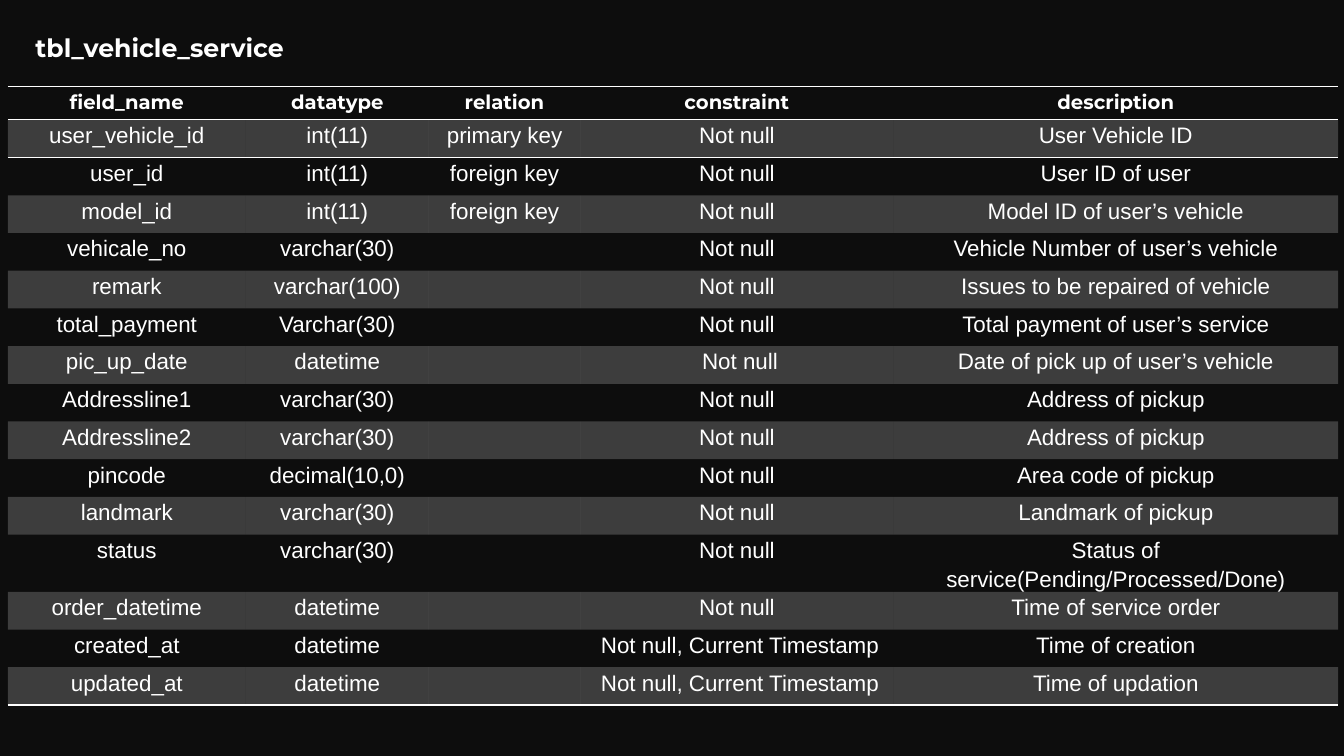
from dataclasses import dataclass

from lxml import etree
from pptx import Presentation
from pptx import util as u
from pptx.dml.color import RGBColor
from pptx.enum import text
from pptx.oxml import ns

HEAD = ["field_name", "datatype", "relation", "constraint", "description"]
FIELDS = [
    ["user_vehicle_id", "int(11)", "primary key", "Not null", "User Vehicle ID"],
    ["user_id", "int(11)", "foreign key", "Not null", "User ID of user"],
    ["model_id", "int(11)", "foreign key", "Not null", "Model ID of user’s vehicle"],
    ["vehicale_no", "varchar(30)", "", "Not null", "Vehicle Number of user’s vehicle"],
    ["remark", "varchar(100)", "", "Not null", "Issues to be repaired of vehicle"],
    ["total_payment", "Varchar(30)", "", "Not null", "Total payment of user’s service"],
    ["pic_up_date", "datetime", "", " Not null", "Date of pick up of user’s vehicle"],
    ["Addressline1", "varchar(30)", "", "Not null", "Address of pickup"],
    ["Addressline2", "varchar(30)", "", "Not null", "Address of pickup"],
    ["pincode", "decimal(10,0)", "", "Not null", "Area code of pickup"],
    ["landmark", "varchar(30)", "", "Not null", "Landmark of pickup"],
    ["status", "varchar(30)", "", "Not null", "Status of service(Pending/Processed/Done)"],
    ["order_datetime", "datetime", "", "Not null", "Time of service order"],
    ["created_at", "datetime", "", " Not null, Current Timestamp", "Time of creation"],
    ["updated_at", "datetime", "", " Not null, Current Timestamp", "Time of updation"],
]
WIDTHS = [5.99, 4.62, 3.81, 7.9, 11.2]


@dataclass
class Theme:
    back: str = "0D0D0D"
    ink: str = "FFFFFF"
    band: int = 20
    plain: str = "{2D5ABB26-0587-4C30-8999-92F81FD0307C}"
    title: tuple = ("Montserrat", 18, True)
    head: tuple = ("Montserrat", 14, True)
    body: tuple = ("Arial", 16, False)


def apply(item, values):
    for key, value in values.items():
        setattr(item, key, value)


class Deck:
    def __init__(self, theme):
        self.theme = theme
        self.file = Presentation()
        apply(self.file, {"slide_width": u.Cm(33.87), "slide_height": u.Cm(19.05)})
        self.slide = self.file.slides.add_slide(self.file.slide_layouts[5])
        fill = self.slide.background.fill
        fill.solid()
        fill.fore_color.rgb = RGBColor.from_string(theme.back)

    def style(self, font, face):
        name, size, bold = face
        apply(font, {"name": name, "size": u.Pt(size), "bold": bold})
        font.color.rgb = RGBColor.from_string(self.theme.ink)

    def title(self, words, left, top, width, height):
        box = self.slide.shapes.title
        apply(box, {"left": u.Cm(left), "top": u.Cm(top),
                    "width": u.Cm(width), "height": u.Cm(height)})
        apply(box.text_frame, {"text": words, "word_wrap": False,
                               "auto_size": text.MSO_AUTO_SIZE.NONE,
                               "vertical_anchor": text.MSO_ANCHOR.MIDDLE})
        line = box.text_frame.paragraphs[0]
        line.alignment = text.PP_ALIGN.LEFT
        self.style(line.runs[0].font, self.theme.title)

    def table(self, rows, widths, left, top, first, rest):
        high = first + rest * (len(rows) - 1)
        grid = self.slide.shapes.add_table(
            len(rows), len(widths), u.Cm(left), u.Cm(top),
            u.Cm(sum(widths)), u.Cm(high)).table
        grid.horz_banding = False
        grid._tbl.tblPr.find(ns.qn("a:tableStyleId")).text = self.theme.plain
        for col, width in zip(grid.columns, widths):
            col.width = u.Cm(width)
        for i, row in enumerate(rows):
            grid.rows[i].height = u.Cm(rest if i else first)
            # Rules frame the header and close the table
            sides = {0: ["lnT", "lnB"], 1: ["lnT"], len(rows) - 1: ["lnB"]}.get(i, [])
            for j, words in enumerate(row):
                self.cell(grid.cell(i, j), words, self.theme.body if i else self.theme.head,
                          i % 2 == 1, sides)

    def cell(self, cell, words, face, band, sides):
        apply(cell, {"text": words, "margin_left": u.Cm(0.18), "margin_right": u.Cm(0.18),
                     "margin_top": 0, "margin_bottom": 0})
        line = cell.text_frame.paragraphs[0]
        apply(line, {"alignment": text.PP_ALIGN.CENTER, "line_spacing": 1.15,
                     "space_after": u.Pt(10)})
        self.style(line.runs[0].font if line.runs else line.font, face)
        if not line.runs:
            etree.SubElement(line._p, ns.qn("a:endParaRPr"), sz=str(face[1] * 100))
        props = cell._tc.get_or_add_tcPr()
        # Translucent band
        if band:
            cell.fill.solid()
            cell.fill.fore_color.rgb = RGBColor.from_string(self.theme.ink)
            tint = props.find(".//" + ns.qn("a:srgbClr"))
            etree.SubElement(tint, ns.qn("a:alpha"), val=str(self.theme.band * 1000))
        else:
            cell.fill.background()
        # Borders come before the fill
        for spot, side in enumerate(sides):
            edge = etree.Element(ns.qn("a:" + side), w=str(u.Pt(1)))
            solid = etree.SubElement(edge, ns.qn("a:solidFill"))
            etree.SubElement(solid, ns.qn("a:srgbClr"), val=self.theme.ink)
            props.insert(spot, edge)


def main():
    deck = Deck(Theme())
    # Title
    deck.title("tbl_vehicle_service", 0.64, 0.64, 7.19, 1.12)
    # Field list
    deck.table([HEAD] + FIELDS, WIDTHS, 0.2, 2.18, 0.84, 0.95)
    deck.file.save("out.pptx")


if __name__ == "__main__":
    main()
